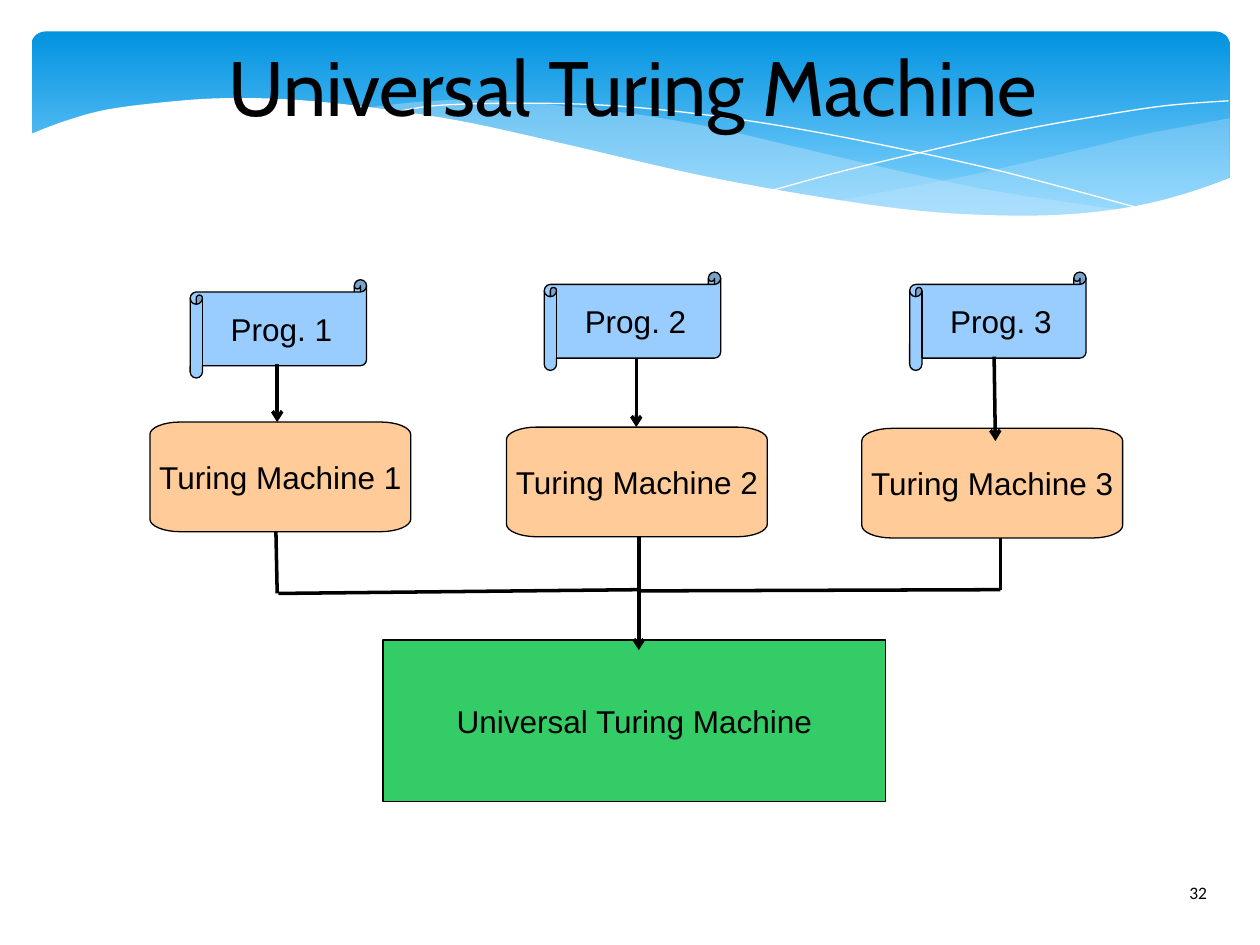
"""Build the Universal Turing Machine slide: three program-driven machines feeding one universal machine."""
from itertools import chain
from math import cos, pi, sin

from lxml.etree import SubElement
from pptx import Presentation
from pptx.dml.color import RGBColor
from pptx.enum.shapes import MSO_CONNECTOR as Link, MSO_SHAPE as Preset
from pptx.enum.text import MSO_ANCHOR as Anchor, MSO_AUTO_SIZE as AutoSize, PP_ALIGN as Align
from pptx.oxml.ns import qn
from pptx.util import Inches, Pt

BLACK = RGBColor(0x00, 0x00, 0x00)
WHITE = RGBColor(0xFF, 0xFF, 0xFF)
SKY_TOP = RGBColor(0x02, 0x93, 0xE0)
SKY_BOTTOM = RGBColor(0x83, 0xD3, 0xFE)
MIST = RGBColor(0xC6, 0xE7, 0xFC)
PROGRAM_BLUE = RGBColor(0x99, 0xCC, 0xFF)
MACHINE_PEACH = RGBColor(0xFF, 0xCC, 0x99)
UNIVERSAL_GREEN = RGBColor(0x33, 0xCC, 0x66)

COLUMNS = 100

RIGHT_WAVE = (
    [(97.5, 9.4), (94.8, 9.9), (90.6, 10.7), (86.1, 11.8), (77.9, 13.7), (72.9, 14.7), (66.1, 16)],
    [(66.1, 16), (70.5, 16.5), (75.7, 17), (81.4, 17.2), (87.2, 16.9), (92.1, 16), (97.6, 14.1)],
    [(97.6, 14.1), (97.6, 9.4)],
)
LONG_WAVE = (
    [(89.3, 16.7), (83.7, 15.9), (77.5, 14.9), (70.6, 13.4), (62.9, 11.6), (56.9, 10.2),
     (51.4, 9.2), (46.5, 8.6), (39.9, 8), (34.4, 8), (28.6, 8.6)],
    [(28.6, 8.6), (34.2, 9.4), (40.4, 10.6), (44.9, 11.6), (53, 13.5), (60.1, 15),
     (66.5, 16.1), (73.6, 16.9), (79.6, 17.3), (84.8, 17.2), (89.3, 16.7)],
)
FALLING_STRAND = [(30.9, 9), (34.4, 8.4), (40.1, 8.2), (46.9, 8.3), (53.3, 8.8), (60.8, 9.8),
                  (69.5, 11.4), (79.5, 13.6), (90.7, 16.6)]
RISING_STRAND = [(61.3, 15.1), (67.2, 13.5), (74.8, 11.7), (80.6, 10.4), (86.6, 9.3),
                 (92.4, 8.4), (97.5, 8)]
WHITE_BASE = (
    [(97.7, 14.1), (94, 15.4), (89.9, 16.4), (85, 17), (79.3, 17.1), (72.6, 16.7), (64.8, 15.6),
     (55.5, 13.9), (44.7, 11.4), (36.5, 9.6), (29.2, 8.5), (23, 7.9), (17.7, 7.8), (13.2, 8.1),
     (8.5, 8.7), (5.2, 9.6), (2.3, 10.7)],
    [(2.3, 22.4), (97.7, 22.4)],
)


def smooth(knots, steps=6):
    """Return points on a Catmull-Rom curve through the knots."""
    padded = [knots[0], *knots, knots[-1]]
    points = [knots[0]]
    for a, b, c, d in zip(padded, padded[1:], padded[2:], padded[3:]):
        for step in range(1, steps + 1):
            t = step / steps
            points.append(tuple(
                (2 * q + (r - p) * t + (2 * p - 5 * q + 4 * r - s) * t ** 2
                 + (3 * q - p - 3 * r + s) * t ** 3) / 2
                for p, q, r, s in zip(a, b, c, d)))
    return points


def oval_corners(left, top, width, height, reach=2.4, rise=1, steps=8):
    """Return the outline of a box with elliptical corners."""
    middle_x, middle_y = left + width / 2, top + height / 2
    outline = []
    for quarter, (side, end) in enumerate([(1, 1), (-1, 1), (-1, -1), (1, -1)]):
        for step in range(steps + 1):
            angle = (quarter + step / steps) * pi / 2
            outline.append((middle_x + side * (width / 2 - reach) + reach * cos(angle),
                            middle_y + end * (height / 2 - rise) + rise * sin(angle)))
    return outline


class Diagram:
    """Hold the style and the current slide, measured on a square grid."""

    label_font, label_size = "Arial", 18

    def __init__(self, deck):
        """Add a title-only slide to the deck."""
        self.slide = deck.slides.add_slide(deck.slide_layouts[5])
        self.cell = deck.slide_width / COLUMNS

    def grid(self, *cells):
        """Turn grid counts into lengths."""
        return [round(count * self.cell) for count in cells]

    def add_words(self, shape, words, size, font, align, anchor, wrap=False):
        """Put one styled run into a shape."""
        frame = shape.text_frame
        frame.auto_size, frame.word_wrap = AutoSize.NONE, wrap
        frame.vertical_anchor = anchor
        paragraph = frame.paragraphs[0]
        paragraph.alignment = align
        run = paragraph.add_run()
        run.text = words
        run.font.size, run.font.name = Pt(size), font
        run.font.color.rgb = BLACK

    def title(self, words, box):
        """Place the title in front of everything drawn so far."""
        heading = self.slide.shapes.title
        heading.left, heading.top, heading.width, heading.height = self.grid(*box)
        self.add_words(heading, words, 44, "Cabin", Align.CENTER, Anchor.MIDDLE, True)
        frame = heading.text_frame
        frame.margin_left = frame.margin_right = frame.margin_top = frame.margin_bottom = 0
        heading.element.getparent().append(heading.element)

    def page_number(self, words, box):
        """Add the page number."""
        note = self.slide.shapes.add_textbox(*self.grid(*box))
        self.add_words(note, words, 10, "Calibri", Align.LEFT, Anchor.TOP, True)

    def paint(self, shape, fill=None, line=None, opacity=None):
        """Set fill, hairline and opacity, and drop the shadow."""
        shape.shadow.inherit = False
        if fill is None:
            shape.fill.background()
        else:
            shape.fill.solid()
            shape.fill.fore_color.rgb = fill
        if opacity is not None:
            color = shape.element.spPr.find(qn("a:solidFill"))[0]
            SubElement(color, qn("a:alpha"), val=str(opacity * 1000))
        if line is None:
            shape.line.fill.background()
        else:
            shape.line.color.rgb = line
            shape.line.width = Pt(0)
        return shape

    def outline(self, points, closed=True, **look):
        """Draw a painted outline through grid points."""
        start, *others = [self.grid(*point) for point in points]
        builder = self.slide.shapes.build_freeform(*start)
        builder.add_line_segments(others, close=closed)
        return self.paint(builder.convert_to_shape(), **look)

    def wave(self, curves, **look):
        """Draw a closed shape bounded by smooth curves."""
        self.outline(list(chain.from_iterable(map(smooth, curves))), **look)

    def sky(self, box):
        """Draw the rounded gradient banner."""
        banner = self.slide.shapes.add_shape(Preset.ROUNDED_RECTANGLE, *self.grid(*box))
        banner.adjustments[0] = 0.07
        self.paint(banner)
        banner.fill.gradient()
        banner.fill.gradient_angle = 270
        for stop, color, place in zip(banner.fill.gradient_stops, (SKY_TOP, SKY_BOTTOM), (0, 0.9)):
            stop.color.rgb, stop.position = color, place

    def label(self, shape, words):
        """Centre a label in a diagram part."""
        self.add_words(shape, words, self.label_size, self.label_font, Align.CENTER, Anchor.MIDDLE)

    def block(self, preset, words, box, fill):
        """Draw a labelled preset shape."""
        shape = self.slide.shapes.add_shape(preset, *self.grid(*box))
        self.label(self.paint(shape, fill, BLACK), words)

    def machine(self, words, box):
        """Draw a labelled machine with oval corners."""
        self.label(self.outline(oval_corners(*box), fill=MACHINE_PEACH, line=BLACK), words)

    def link(self, start, end, arrow=False):
        """Draw a hairline between two grid points."""
        line = self.slide.shapes.add_connector(Link.STRAIGHT, *self.grid(*start, *end))
        line.line.color.rgb = BLACK
        line.line.width = Pt(0)
        properties = line.element.spPr
        if arrow:
            SubElement(properties.find(qn("a:ln")), qn("a:tailEnd"), type="arrow")
        SubElement(properties, qn("a:effectLst"))


def main():
    """Build and save the slide."""
    deck = Presentation()
    deck.slide_width, deck.slide_height = Inches(10), Inches(7.5)
    diagram = Diagram(deck)

    diagram.sky((2.5, 2.5, 95.1, 15.6))
    diagram.wave(RIGHT_WAVE, fill=MIST, opacity=29)
    diagram.wave(LONG_WAVE, fill=MIST, opacity=40)
    for strand in (FALLING_STRAND, RISING_STRAND):
        diagram.outline(smooth(strand), closed=False, line=WHITE)
    diagram.wave(WHITE_BASE, fill=WHITE)
    diagram.title("Universal Turing Machine", (9.7, 1.7, 81.1, 10.2))

    programs = [(15.1, 22.2), (43.2, 21.6), (72.2, 21.6)]
    machines = [(11.9, 33.5), (40.2, 33.9), (68.4, 34)]
    for number, (program, machine) in enumerate(zip(programs, machines), 1):
        diagram.block(Preset.HORIZONTAL_SCROLL, f"Prog. {number}", (*program, 14, 7.8), PROGRAM_BLUE)
        diagram.machine(f"Turing Machine {number}", (*machine, 20.7, 8.7))
    diagram.block(Preset.RECTANGLE, "Universal Turing Machine", (30.4, 50.8, 39.9, 12.8), UNIVERSAL_GREEN)

    arrows = [((22, 28.9), (22, 33.5)), ((50.5, 28.5), (50.5, 33.9)),
              ((78.9, 28.3), (79, 35)), ((50.7, 46.9), (50.7, 51.6))]
    joints = [((79.4, 42.7), (79.4, 46.8)), ((50.7, 46.9), (79.4, 46.8)), ((50.7, 42.6), (50.7, 47.1)),
              ((21.9, 42.2), (22, 47.1)), ((22.1, 47.1), (50.7, 46.8))]
    for start, end in arrows:
        diagram.link(start, end, arrow=True)
    for start, end in joints:
        diagram.link(start, end)

    diagram.page_number("32", (93.4, 69.5, 6.1, 4))
    deck.save("out.pptx")


if __name__ == "__main__":
    main()
